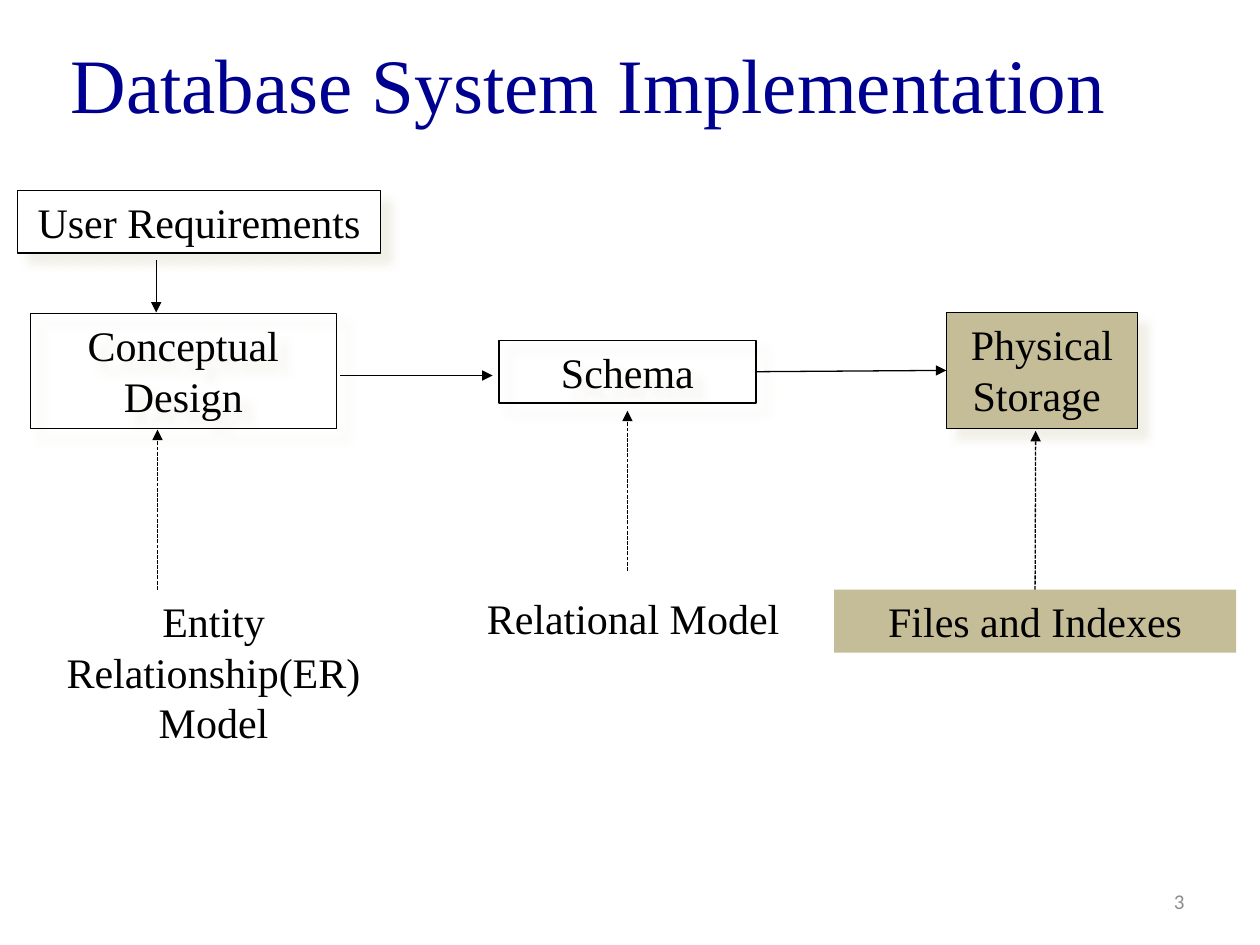
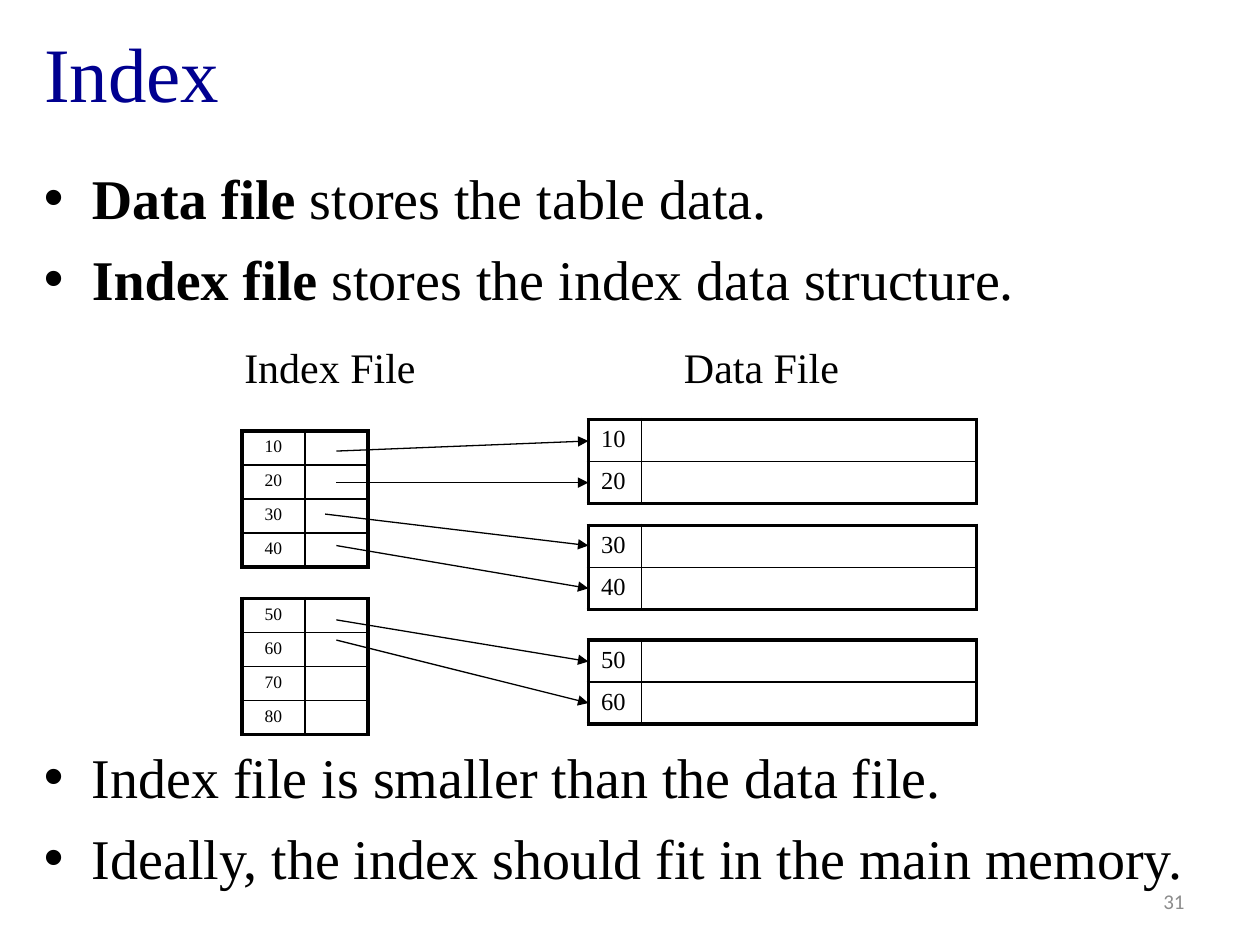
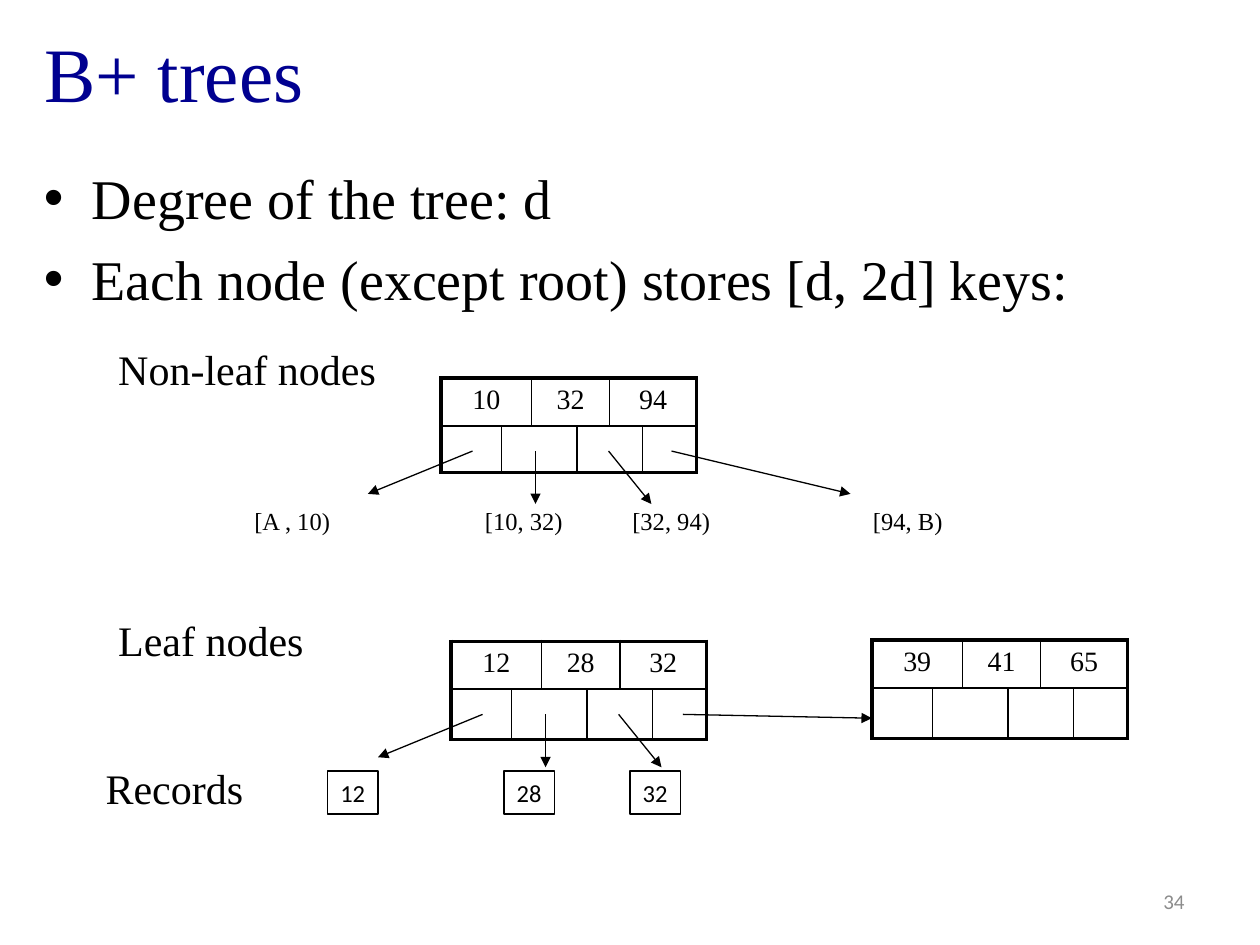
from dataclasses import dataclass
from typing import Optional

import lxml.etree
import pptx
import pptx.dml.color
import pptx.enum.dml
import pptx.enum.shapes
import pptx.enum.text
import pptx.oxml.ns
import pptx.util

PX = 9144  # 100 px to the inch
SERIF = "Times New Roman"
SANS = "Calibri"
COLORS = {
    "title": "000090",
    "ink": "000000",
    "paper": "FFFFFF",
    "number": "8C8C8C",
    "highlight": "C4BD97",
    "shadow": "EEECE1",
}
ALIGN = pptx.enum.text.PP_ALIGN
ANCHOR = pptx.enum.text.MSO_ANCHOR
TITLE_ONLY_LAYOUT = 5
TOP, LEFT, BOTTOM, RIGHT = range(4)
THICK, THIN, HAIRLINE = 2.25, 1, 0.75
BULLET_INDENT = 38

Point = tuple[int, int]


@dataclass(frozen=True)
class Box:
    left: int
    top: int
    width: int
    height: int
    text: str
    size: int = 24
    font: str = SERIF
    color: str = "ink"
    fill: Optional[str] = None
    outlined: bool = False
    shadowed: bool = False
    align: ALIGN = ALIGN.LEFT
    anchor: ANCHOR = ANCHOR.TOP
    wrap: bool = True


@dataclass(frozen=True)
class Arrow:
    start: Point
    end: Point
    dashed: bool = False


@dataclass(frozen=True)
class Grid:
    """A table; each entry of rows lists (text, columns spanned)."""
    left: int
    top: int
    widths: tuple[int, ...]
    heights: tuple[int, ...]
    rows: list[list[tuple[str, int]]]
    size: int
    align: ALIGN = ALIGN.CENTER


def px(length: int) -> int:
    return length * PX


def rgb(name: str) -> pptx.dml.color.RGBColor:
    return pptx.dml.color.RGBColor.from_string(COLORS[name])


def add_xml(parent, tag: str, **attributes: str):
    element = lxml.etree.SubElement(parent, pptx.oxml.ns.qn(tag))
    for name, value in attributes.items():
        element.set(name, value)
    return element


def style_paragraph(paragraph, size: int, font: str = SERIF,
                    color: str = "ink", align: ALIGN = ALIGN.LEFT) -> None:
    paragraph.alignment = align
    paragraph.font.size = pptx.util.Pt(size)
    paragraph.font.name = font
    paragraph.font.color.rgb = rgb(color)


def cast_shadow(shape) -> None:
    effects = shape._element.spPr.find(pptx.oxml.ns.qn("a:effectLst"))
    shadow = add_xml(effects, "a:outerShdw",
                     blurRad=str(pptx.util.Pt(5)), dist=str(pptx.util.Pt(8.5)),
                     dir="2700000", algn="tl", rotWithShape="0")
    color = add_xml(shadow, "a:srgbClr", val=COLORS["shadow"])
    add_xml(color, "a:alpha", val="75000")


def draw_box(slide, box: Box):
    place = [px(n) for n in (box.left, box.top, box.width, box.height)]
    if box.outlined or box.fill:
        shape = slide.shapes.add_shape(
            pptx.enum.shapes.MSO_SHAPE.RECTANGLE, *place)
        shape.shadow.inherit = False
        if box.fill:
            shape.fill.solid()
            shape.fill.fore_color.rgb = rgb(box.fill)
        else:
            shape.fill.background()
        if box.outlined:
            shape.line.color.rgb = rgb("ink")
            shape.line.width = pptx.util.Pt(HAIRLINE)
        else:
            shape.line.fill.background()
        if box.shadowed:
            cast_shadow(shape)
    else:
        shape = slide.shapes.add_textbox(*place)
    frame = shape.text_frame
    frame.word_wrap = box.wrap
    frame.vertical_anchor = box.anchor
    frame.text = box.text
    style_paragraph(frame.paragraphs[0], box.size, box.font, box.color,
                    box.align)
    return shape


def draw_arrow(slide, arrow: Arrow):
    connector = slide.shapes.add_connector(
        pptx.enum.shapes.MSO_CONNECTOR.STRAIGHT,
        *[px(n) for n in arrow.start + arrow.end])
    connector.line.color.rgb = rgb("ink")
    connector.line.width = pptx.util.Pt(HAIRLINE)
    if arrow.dashed:
        connector.line.dash_style = pptx.enum.dml.MSO_LINE.SQUARE_DOT
    add_xml(connector.line._get_or_add_ln(), "a:tailEnd", type="triangle")
    add_xml(connector._element.spPr, "a:effectLst")
    return connector


def set_borders(cell, widths: dict[str, float]) -> None:
    properties = cell._tc.get_or_add_tcPr()
    for side, width in widths.items():
        line = add_xml(properties, f"a:ln{side}", w=str(pptx.util.Pt(width)))
        fill = add_xml(line, "a:solidFill")
        add_xml(fill, "a:srgbClr", val=COLORS["ink"])


def draw_grid(slide, grid: Grid) -> None:
    row_count, column_count = len(grid.heights), len(grid.widths)
    table = slide.shapes.add_table(
        row_count, column_count, px(grid.left), px(grid.top),
        px(sum(grid.widths)), px(sum(grid.heights))).table
    table.first_row = table.horz_banding = False
    for column, width in zip(table.columns, grid.widths):
        column.width = px(width)
    for row, height in zip(table.rows, grid.heights):
        row.height = px(height)

    for row_index, entries in enumerate(grid.rows):
        first = 0
        for text, span in entries:
            last = first + span - 1
            borders = {
                "L": THICK if first == 0 else THIN,
                "R": THICK if last == column_count - 1 else THIN,
                "T": THICK if row_index == 0 else THIN,
                "B": THICK if row_index == row_count - 1 else THIN,
            }
            for column_index in range(first, last + 1):
                cell = table.cell(row_index, column_index)
                set_borders(cell, borders)
                cell.fill.background()
            cell = table.cell(row_index, first)
            if span > 1:
                cell.merge(table.cell(row_index, last))
            paragraph = cell.text_frame.paragraphs[0]
            style_paragraph(paragraph, grid.size, align=grid.align)
            if text:
                paragraph.add_run().text = text
            else:
                add_xml(paragraph._p, "a:endParaRPr", sz=str(grid.size * 100))
            first = last + 1


def draw_bullets(slide, top: int, bullets: list[tuple[str, str]]) -> None:
    """Draw bullets given as (bold lead, plain rest)."""
    frame = slide.shapes.add_textbox(px(25), px(top), px(955),
                                     px(120)).text_frame
    frame.word_wrap = True
    for index, (lead, rest) in enumerate(bullets):
        paragraph = frame.add_paragraph() if index else frame.paragraphs[0]
        if index:
            paragraph.space_before = pptx.util.Pt(8)
        properties = paragraph._p.get_or_add_pPr()
        properties.set("marL", str(px(BULLET_INDENT)))
        properties.set("indent", str(-px(BULLET_INDENT)))
        add_xml(properties, "a:buFont", typeface="Arial")
        add_xml(properties, "a:buChar", char="•")
        style_paragraph(paragraph, 32)
        if lead:
            run = paragraph.add_run()
            run.text = lead
            run.font.bold = True
        paragraph.add_run().text = rest


def add_slide(presentation, title: str, number: int,
              title_place: tuple[int, int, int, int] = (25, 5, 955, 104)):
    slide = presentation.slides.add_slide(
        presentation.slide_layouts[TITLE_ONLY_LAYOUT])
    shape = slide.shapes.title
    shape.left, shape.top, shape.width, shape.height = map(px, title_place)
    shape.text_frame.text = title
    shape.text_frame.vertical_anchor = ANCHOR.MIDDLE
    style_paragraph(shape.text_frame.paragraphs[0], 44, color="title")
    draw_box(slide, Box(717, 695, 233, 40, str(number), 12, SANS, "number",
                        align=ALIGN.RIGHT, anchor=ANCHOR.MIDDLE))
    return slide


def build_implementation(presentation) -> None:
    slide = add_slide(presentation, "Database System Implementation", 3,
                      (46, 3, 900, 125))

    def stage(left: int, top: int, width: int, height: int, text: str,
              fill: Optional[str] = None):
        return draw_box(slide, Box(left, top, width, height, text, fill=fill,
                                   outlined=True, shadowed=True,
                                   align=ALIGN.CENTER))

    def model(left: int, top: int, height: int, text: str,
              fill: Optional[str] = None):
        return draw_box(slide, Box(left, top, 319, height, text, fill=fill,
                                   align=ALIGN.CENTER))

    stage(14, 151, 288, 50, "User Requirements", "paper")
    stage(24, 249, 243, 91, "Conceptual Design")
    schema = stage(396, 270, 204, 50, "Schema")
    storage = stage(751, 248, 152, 92, "Physical Storage ", "highlight")
    model(10, 468, 91, "Entity Relationship(ER) Model")
    model(343, 465, 50, "Relational Model")
    files = model(662, 468, 50, "Files and Indexes", "highlight")

    for arrow in (
        Arrow((124, 206), (124, 248)),
        Arrow((270, 298), (391, 298)),
        Arrow((125, 468), (125, 341), dashed=True),
        Arrow((498, 453), (498, 326), dashed=True),
    ):
        draw_arrow(slide, arrow)
    schema_to_storage = draw_arrow(slide, Arrow((600, 295), (751, 294)))
    schema_to_storage.begin_connect(schema, RIGHT)
    schema_to_storage.end_connect(storage, LEFT)
    files_to_storage = draw_arrow(
        slide, Arrow((822, 468), (822, 342), dashed=True))
    files_to_storage.begin_connect(files, TOP)


def build_index(presentation) -> None:
    slide = add_slide(presentation, "Index", 31)
    draw_bullets(slide, 125, [
        ("Data file ", "stores the table data."),
        ("Index file", " stores the index data structure."),
    ])
    draw_bullets(slide, 584, [
        ("", "Index file is smaller than the data file."),
        ("", "Ideally, the index should fit in the main memory."),
    ])
    draw_box(slide, Box(184, 266, 158, 50, "Index File", wrap=False))
    draw_box(slide, Box(533, 266, 145, 50, "Data File", wrap=False))

    def key_rows(first_key: int, count: int) -> list[list[tuple[str, int]]]:
        return [[(str(first_key + 10 * step), 1), ("", 1)]
                for step in range(count)]

    for top, first_key in ((342, 10), (475, 50)):
        draw_grid(slide, Grid(192, top, (50, 50), (27,) * 4,
                              key_rows(first_key, 4), 10))
    for top, first_key in ((333, 10), (417, 30), (508, 50)):
        draw_grid(slide, Grid(467, top, (42, 266), (33,) * 2,
                              key_rows(first_key, 2), 14, ALIGN.LEFT))

    for start, end_y in (
        ((267, 358), 350),
        ((267, 383), 383),
        ((258, 408), 433),
        ((267, 433), 467),
        ((267, 492), 525),
        ((267, 508), 558),
    ):
        draw_arrow(slide, Arrow(start, (467, end_y)))


def build_trees(presentation) -> None:
    slide = add_slide(presentation, "B+ trees", 34)
    draw_bullets(slide, 125, [
        ("", "Degree of the tree: d"),
        ("", "Each node (except root) stores [d, 2d] keys:"),
    ])

    for left, top, width, text in (
        (84, 268, 266, "Non-leaf nodes"),
        (84, 483, 266, "Leaf nodes"),
        (74, 600, 186, "Records"),
    ):
        draw_box(slide, Box(left, top, width, 50, text))
    for left, text in ((192, "[A , 10)"), (375, "[10, 32)"),
                       (492, "[32, 94)"), (683, "[94, B)")):
        draw_box(slide, Box(left, 397, 82, 34, text, 14, wrap=False))
    for left, text in ((260, "12"), (400, "28"), (500, "32")):
        draw_box(slide, Box(left, 612, 40, 34, text, 14, SANS, outlined=True,
                            align=ALIGN.CENTER, anchor=ANCHOR.MIDDLE,
                            wrap=False))

    for left, top, pointer_height, keys in (
        (350, 300, 37, ("10", "32", "94")),
        (358, 509, 40, ("12", "28", "32")),
        (692, 508, 40, ("39", "41", "65")),
    ):
        pointers = [("", span) for span in (1, 2, 2, 1)]
        draw_grid(slide, Grid(left, top, (48, 21, 36, 26, 26, 43),
                              (38, pointer_height),
                              [[(key, 2) for key in keys], pointers], 16))

    for left, top in ((350, 358), (358, 567)):
        for start_x, end_x, drop in ((25, -58, 34), (75, 75, 42),
                                     (133, 167, 42)):
            draw_arrow(slide, Arrow((left + start_x, top),
                                    (left + end_x, top + drop)))
    draw_arrow(slide, Arrow((533, 358), (675, 392)))
    draw_arrow(slide, Arrow((542, 567), (692, 570)))


def main() -> None:
    presentation = pptx.Presentation()
    presentation.slide_width = px(1000)
    presentation.slide_height = px(750)
    build_implementation(presentation)
    build_index(presentation)
    build_trees(presentation)
    presentation.save("out.pptx")


if __name__ == "__main__":
    main()
